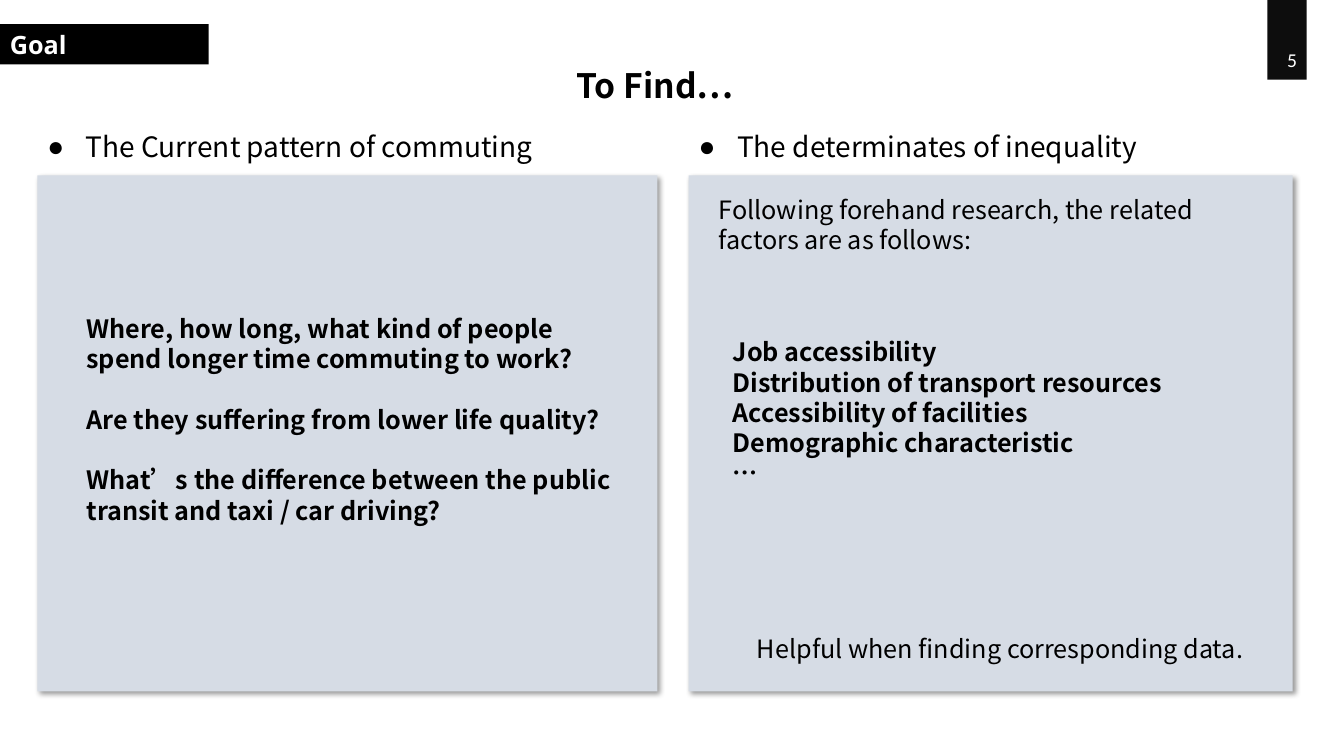
import pptx
import pptx.util
import pptx.dml.color
import pptx.enum.text
import pptx.enum.shapes
import pptx.enum.lang
import pptx.oxml
import pptx.oxml.ns

RGBColor = pptx.dml.color.RGBColor
Align = pptx.enum.text.PP_ALIGN
Anchor = pptx.enum.text.MSO_ANCHOR
Language = pptx.enum.lang.MSO_LANGUAGE_ID
Pt = pptx.util.Pt

BLACK = RGBColor(0, 0, 0)
WHITE = RGBColor(255, 255, 255)
NEAR_BLACK = RGBColor(13, 13, 13)
PANEL_BLUE = RGBColor(214, 220, 229)
SANS = "Noto Sans CJK SC"

TITLE = "To Find…"
SECTION = "Goal"
PAGE_NUMBER = "5"
COLUMNS = [
    {"heading": "The Current pattern of commuting", "left": 37, "width": 615},
    {"heading": "The determinates of inequality", "left": 683, "width": 599},
]
QUESTIONS = [
    ("Where, how long, what kind of people", 0),
    ("spend longer time commuting to work?", 0),
    ("Are they suffering from lower life quality?", 21.6),
    ("What’s the difference between the public transit and taxi / car driving?", 21.6),
]
FACTORS = [
    "Job accessibility",
    "Distribution of transport resources",
    "Accessibility of facilities",
    "Demographic characteristic",
    "…",
]
INTRO = "Following forehand research, the related factors are as follows:"
CLOSING = "Helpful when finding corresponding data."

TITLE_BOX = (562, 39, 600, 64)
SECTION_BOX = (0, 24, 207, 40)
NUMBER_PLATE = (1257, 0, 39, 79)
NUMBER_BOX = (1243, 42, 77, 34)
HEADING_TOP, HEADING_HEIGHT = 107, 55
PANEL_TOP, PANEL_HEIGHT = 174, 512
NOTES = [
    ((76, 306, 540, 222), QUESTIONS, True),
    ((717, 329, 540, 192), [(factor, 0) for factor in FACTORS], True),
    ((703, 188, 540, 71), [(INTRO, 0)], False),
    ((741, 623, 540, 40), [(CLOSING, 0)], False),
]


def px(length):
    return length * 9144


def place(box, area):
    box.left, box.top, box.width, box.height = map(px, area)


def add_xml(parent, xml):
    namespaces = pptx.oxml.ns.nsdecls("a")
    parent.append(pptx.oxml.parse_xml(xml.replace("NS", namespaces, 1)))


def write(box, lines, size, font=SANS, color=BLACK, bold=False, align=Align.LEFT,
          anchor=Anchor.TOP, spacing=1.0, bullet=False, language=Language.ENGLISH_US):
    frame = box.text_frame
    frame.word_wrap = True
    frame.auto_size = pptx.enum.text.MSO_AUTO_SIZE.NONE
    frame.vertical_anchor = anchor
    for index, (text, gap) in enumerate(lines):
        para = frame.add_paragraph() if index else frame.paragraphs[0]
        if bullet:
            properties = para._p.get_or_add_pPr()
            properties.set("marL", str(px(38)))
            properties.set("indent", str(px(-38)))
            add_xml(properties, '<a:buChar NS char="●"/>')
        para.alignment = align
        para.line_spacing = spacing
        para.space_before = Pt(gap)
        span = para.add_run()
        span.text = text
        span.font.name = font
        span.font.size = Pt(size)
        span.font.bold = bold
        span.font.color.rgb = color
        span.font.language_id = language
        add_xml(span._r.get_or_add_rPr(), f'<a:ea NS typeface="{font}"/>')


def add_block(page, area, color, shadow=False):
    block = page.shapes.add_shape(
        pptx.enum.shapes.MSO_SHAPE.RECTANGLE, *map(px, area))
    block.shadow.inherit = False
    block.fill.solid()
    block.fill.fore_color.rgb = color
    block.line.fill.background()
    if shadow:
        effects = block._element.spPr.find(pptx.oxml.ns.qn("a:effectLst"))
        add_xml(effects,
                f'<a:outerShdw NS blurRad="{Pt(4)}" dist="{Pt(3)}" dir="2700000" '
                'algn="tl" rotWithShape="0"><a:srgbClr val="000000">'
                '<a:alpha val="40000"/></a:srgbClr></a:outerShdw>')
    return block


def add_text(page, area):
    return page.shapes.add_textbox(*map(px, area))


def main():
    deck = pptx.Presentation()
    deck.slide_width, deck.slide_height = px(1333), px(750)
    page = deck.slides.add_slide(deck.slide_layouts.get_by_name("Two Content"))

    title, *headings = page.placeholders
    place(title, TITLE_BOX)
    write(title, [(TITLE, 0)], 24, bold=True, spacing=1.5)

    for heading, column in zip(headings, COLUMNS):
        left, width = column["left"], column["width"]
        place(heading, (left, HEADING_TOP, width, HEADING_HEIGHT))
        write(heading, [(column["heading"], 0)], 20, spacing=1.5, bullet=True)
        add_block(page, (left, PANEL_TOP, width, PANEL_HEIGHT), PANEL_BLUE, True)

    add_block(page, NUMBER_PLATE, NEAR_BLACK)
    write(add_text(page, NUMBER_BOX), [(PAGE_NUMBER, 0)], 14, "Calibri", WHITE,
          align=Align.CENTER, anchor=Anchor.MIDDLE)
    write(add_block(page, SECTION_BOX, BLACK), [(SECTION, 0)], 18, "Open Sans",
          WHITE, bold=True)

    for area, lines, bold in NOTES:
        write(add_text(page, area), lines, 18, bold=bold,
              language=Language.SIMPLIFIED_CHINESE)

    deck.save("out.pptx")


if __name__ == "__main__":
    main()
